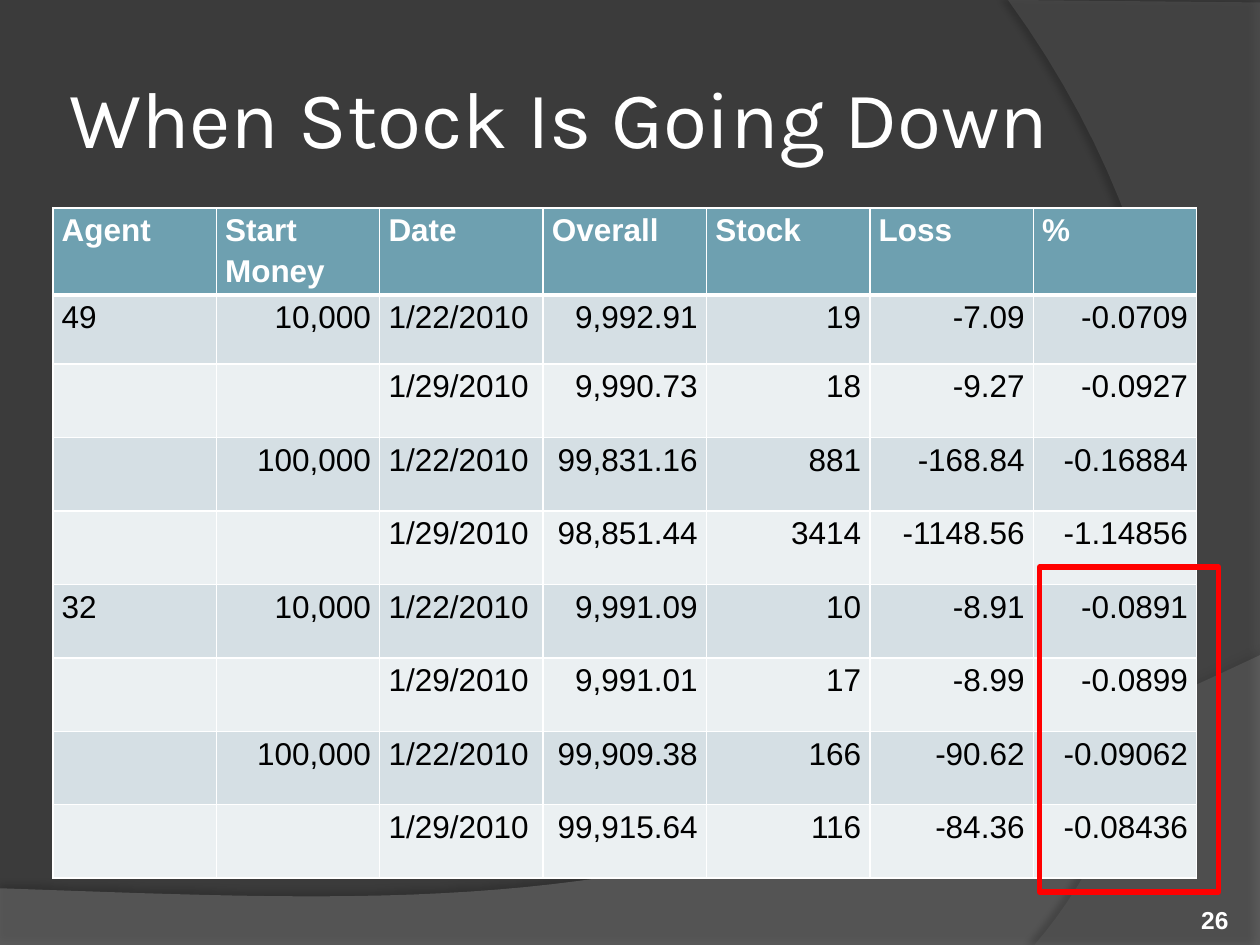
from lxml.etree import SubElement
from pptx import Presentation
from pptx.dml.color import RGBColor
from pptx.enum.shapes import MSO_SHAPE
from pptx.enum.text import MSO_ANCHOR as Anchor, PP_ALIGN as Align
from pptx.oxml import parse_xml
from pptx.oxml.ns import nsdecls, qn
from pptx.util import Inches, Pt

COLORS = {
    "back": "3B3B3B", "wave": "7F7F7F", "side": "5E5E5E", "white": "FFFFFF",
    "black": "000000", "head": "6EA0B0", "odd": "D5DFE4", "even": "EBF0F2",
    "mark": "FF0000",
}
HEADS = ["Agent", "Start Money", "Date", "Overall", "Stock", "Loss", "%"]
ROWS = [
    ["49", "10,000", "1/22/2010", "9,992.91", "19", "-7.09", "-0.0709"],
    ["", "", "1/29/2010", "9,990.73", "18", "-9.27", "-0.0927"],
    ["", "100,000", "1/22/2010", "99,831.16", "881", "-168.84", "-0.16884"],
    ["", "", "1/29/2010", "98,851.44", "3414", "-1148.56", "-1.14856"],
    ["32", "10,000", "1/22/2010", "9,991.09", "10", "-8.91", "-0.0891"],
    ["", "", "1/29/2010", "9,991.01", "17", "-8.99", "-0.0899"],
    ["", "100,000", "1/22/2010", "99,909.38", "166", "-90.62", "-0.09062"],
    ["", "", "1/29/2010", "99,915.64", "116", "-84.36", "-0.08436"],
]
LEFT_COLS = ("Agent", "Date")


def rgb(name):
    return RGBColor.from_string(COLORS[name])


def set_font(para, face, size, color, bold=False):
    font = para.font
    font.name, font.size, font.bold = face, Pt(size), bold
    font.color.rgb = rgb(color)


def curve(p0, p1, p2, p3, steps=40):
    """Return points along a cubic Bezier curve."""
    points = []
    for i in range(steps + 1):
        t = i / steps
        u = 1 - t
        points.append(tuple(
            u**3 * a + 3 * u * u * t * b + 3 * u * t * t * c + t**3 * d
            for a, b, c, d in zip(p0, p1, p2, p3)))
    return points


def add_wave(slide, points, color, alpha, shade, blur, dist, angle):
    """Draw a see-through outline with a soft shadow; alphas in percent."""
    points = [(Inches(x), Inches(y)) for x, y in points]
    pen = slide.shapes.build_freeform(*points[0])
    pen.add_line_segments(points[1:], close=True)
    shape = pen.convert_to_shape()
    shape.fill.solid()
    shape.fill.fore_color.rgb = rgb(color)
    shape.line.fill.background()
    props = shape.element.spPr
    tint = props.find(qn("a:solidFill")).find(qn("a:srgbClr"))
    SubElement(tint, qn("a:alpha"), val=str(alpha * 1000))
    props.append(parse_xml(
        f'<a:effectLst {nsdecls("a")}><a:outerShdw blurRad="{Pt(blur)}" '
        f'dist="{Pt(dist)}" dir="{angle * 60000}" algn="ctr" rotWithShape="0">'
        f'<a:srgbClr val="{COLORS["black"]}"><a:alpha val="{shade * 1000}"/>'
        f'</a:srgbClr></a:outerShdw></a:effectLst>'))


def add_back(slide, left, top, width, height):
    fill = slide.background.fill
    fill.solid()
    fill.fore_color.rgb = rgb("back")
    right, base = left + width, top + height
    wave = [(left, base), (right, base)] + curve(
        (right, top + 5.2), (left + 5.59, top + 7.29),
        (left + 3.91, top + 7.19), (left, top + 7.05))
    add_wave(slide, wave, "wave", 45, 35, 4, 3.5, 270)
    side = [(right, top + 0.02), (right, base)] + curve(
        (left + 8.21, base), (left + 9.35, top + 6.19),
        (left + 10.18, top + 3), (left + 8, top))
    add_wave(slide, side, "side", 40, 45, 4, 4, 180)


def add_label(slide, box, text, face, size, pad, anchor, align, bold=False):
    frame = slide.shapes.add_textbox(*map(Inches, box)).text_frame
    frame.word_wrap = True
    frame.vertical_anchor = anchor
    frame.margin_left = frame.margin_right = Inches(pad)
    frame.margin_top = frame.margin_bottom = Inches(pad)
    para = frame.paragraphs[0]
    para.text, para.alignment = text, align
    set_font(para, face, size, "white", bold)


def add_borders(cell, base):
    """Put white lines round a cell; base is the width of the bottom one."""
    props = cell._tc.get_or_add_tcPr()
    for i, (side, width) in enumerate(zip("LRTB", (1, 1, 1, base))):
        props.insert(i, parse_xml(
            f'<a:ln{side} {nsdecls("a")} w="{Pt(width)}"><a:solidFill>'
            f'<a:srgbClr val="{COLORS["white"]}"/></a:solidFill></a:ln{side}>'))


def fill_cell(cell, text, fill, color, align, head):
    cell.fill.solid()
    cell.fill.fore_color.rgb = rgb(fill)
    add_borders(cell, 3 if head else 1)
    cell.margin_left = cell.margin_right = Inches(0.07)
    cell.margin_top = cell.margin_bottom = 0
    para = cell.text_frame.paragraphs[0]
    if text:
        para.text = text
    para.alignment, para.line_spacing = align, 1.15
    set_font(para, "Arial", 18, color, head)


def add_grid(slide, left, top, width, height):
    box = map(Inches, (left, top, width, height))
    table = slide.shapes.add_table(len(ROWS) + 1, len(HEADS), *box).table
    for col in table.columns:
        col.width = Inches(width / len(HEADS))
    first = [0.65, 0.55]
    rest = (height - sum(first)) / (len(ROWS) - 1)
    for i, row in enumerate(table.rows):
        row.height = Inches(first[i] if i < 2 else rest)
    for r, values in enumerate([HEADS] + ROWS):
        head = r == 0
        fill = "head" if head else "odd" if r % 2 else "even"
        color = "white" if head else "black"
        for c, text in enumerate(values):
            flush = head or HEADS[c] in LEFT_COLS
            align = Align.JUSTIFY if flush else Align.RIGHT
            fill_cell(table.cell(r, c), text, fill, color, align, head)


def add_mark(slide, *box):
    frame = slide.shapes.add_shape(MSO_SHAPE.RECTANGLE, *map(Inches, box))
    frame.shadow.inherit = False
    frame.fill.background()
    frame.line.color.rgb = rgb("mark")
    frame.line.width = Pt(3)


def main():
    deck = Presentation()
    deck.slide_width, deck.slide_height = Inches(10), Inches(7.5)
    slide = deck.slides.add_slide(deck.slide_layouts[6])
    add_back(slide, 0, 0, 10, 7.5)
    add_label(slide, (0.5, 0.3, 8.17, 1.25), "When Stock Is Going Down",
              "Karla", 46, 0.05, Anchor.MIDDLE, Align.LEFT)
    add_grid(slide, 0.42, 1.65, 9.08, 5.28)
    add_mark(slide, 8.25, 4.5, 1.42, 2.58)
    add_label(slide, (8.92, 7.02, 0.83, 0.4), "26",
              "Arial", 14, 0, Anchor.BOTTOM, Align.RIGHT, True)
    deck.save("out.pptx")


if __name__ == "__main__":
    main()
